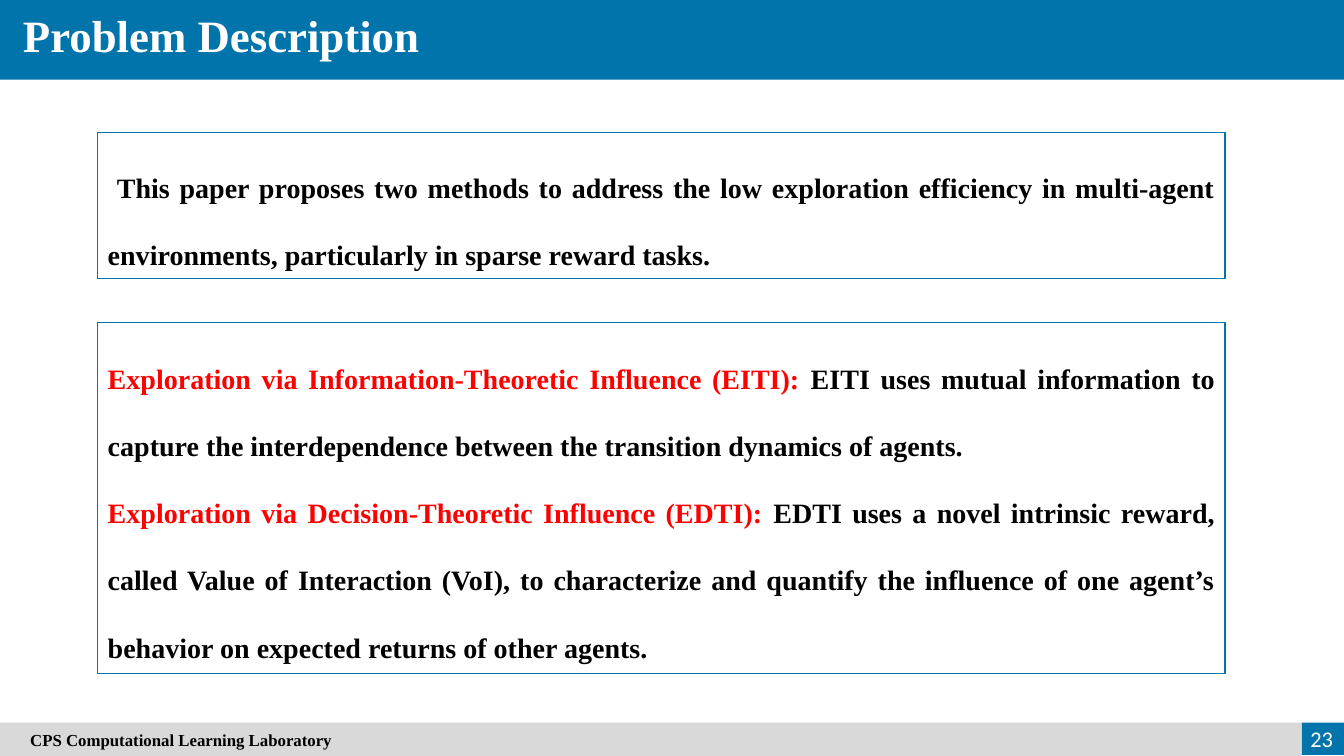
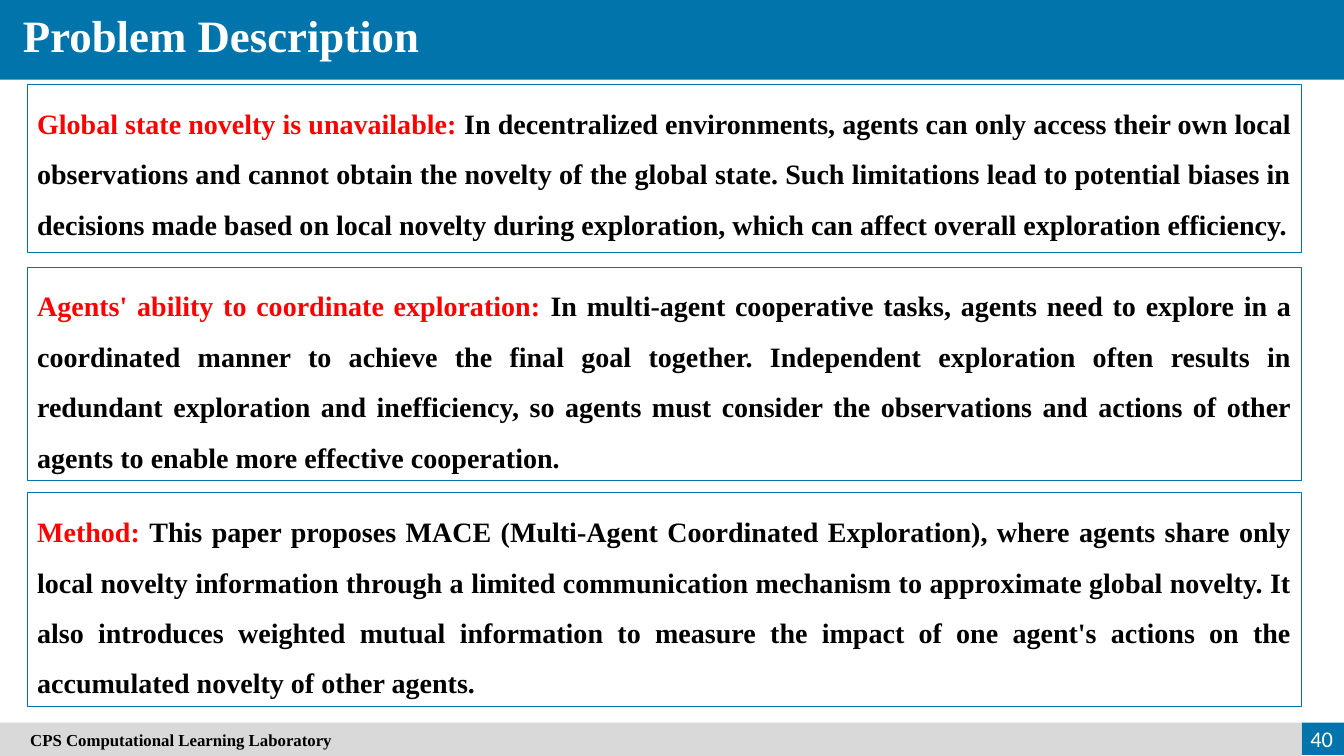
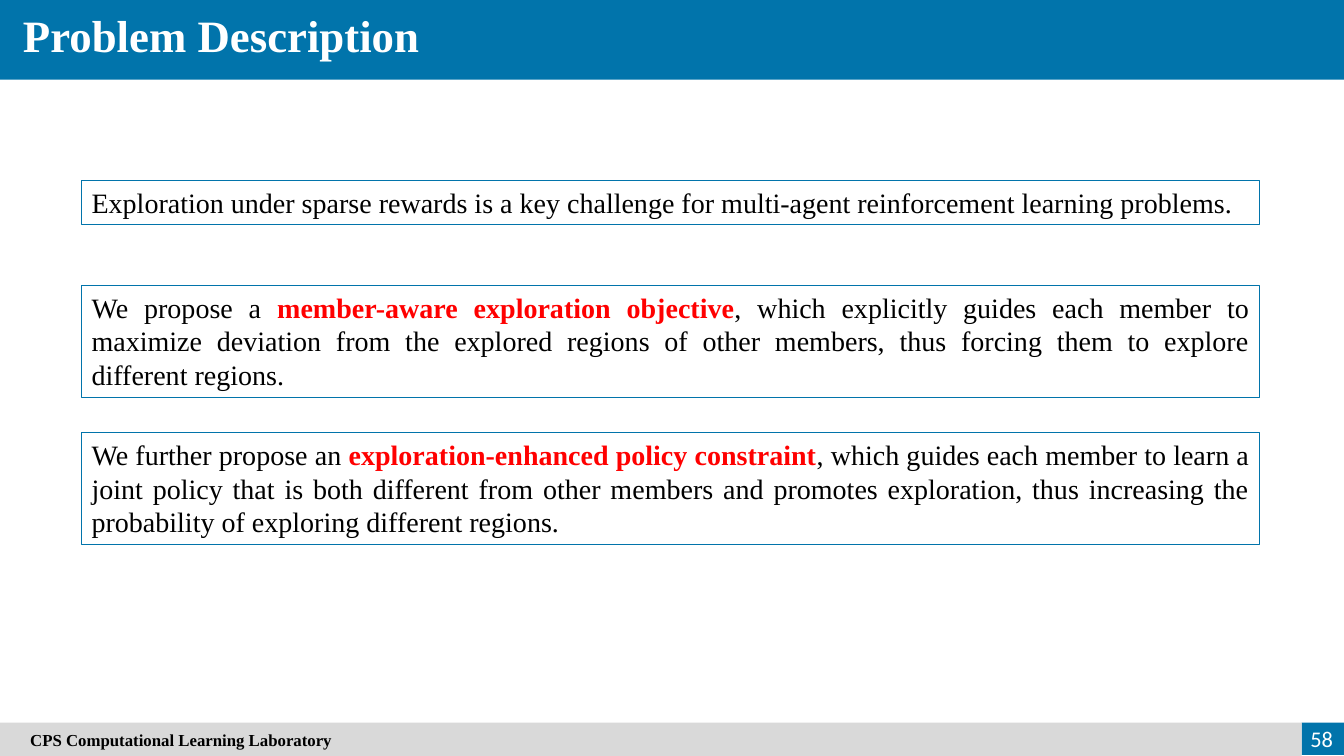
from dataclasses import dataclass
from typing import NamedTuple, Optional

from pptx import Presentation
from pptx.dml.color import RGBColor
from pptx.enum.shapes import MSO_SHAPE as Preset
from pptx.enum.text import MSO_ANCHOR as Anchor, PP_ALIGN as Align
from pptx.shapes.autoshape import Shape
from pptx.slide import Slide
from pptx.text.text import TextFrame
from pptx.util import Emu, Pt

EMU_PER_PX = 9144
BLUE = "0174AB"
GREY = "D9D9D9"
WHITE = "FFFFFF"
BLACK = "000000"
RED = "FF0000"
SERIF = "Times New Roman"
SANS = "Calibri"


class Area(NamedTuple):
    left: int
    top: int
    width: int
    height: int


class Run(NamedTuple):
    text: str
    key: bool = False


@dataclass(frozen=True)
class Box:
    top: int
    height: int
    paragraphs: list[list[Run]]
    first_indent: int = 0


@dataclass(frozen=True)
class Page:
    number: int
    left: int
    width: int
    line_spacing: float
    bold: bool
    boxes: list[Box]


SLIDE_WIDTH, SLIDE_HEIGHT = 1333, 750
TITLE_BAND = Area(0, 0, SLIDE_WIDTH, 79)
TITLE_AREA = Area(13, 3, 537, 64)
FOOTER_BAND = Area(0, 717, 1291, 33)
NUMBER_BAND = Area(1291, 717, 42, 32)
NUMBER_AREA = Area(1269, 713, 63, 40)

PAGES = [
    Page(23, 97, 1118, 2.0, True, [
        Box(131, 145, [[Run(
            "This paper proposes two methods to address the low exploration efficiency in "
            "multi-agent environments, particularly in sparse reward tasks.")]], first_indent=9),
        Box(320, 348, [
            [Run("Exploration via Information-Theoretic Influence (EITI):", key=True),
             Run(" EITI uses mutual information to capture the interdependence between the "
                 "transition dynamics of agents.")],
            [Run("Exploration via Decision-Theoretic Influence (EDTI):", key=True),
             Run(" EDTI uses a novel intrinsic reward, called Value of Interaction (VoI), to "
                 "characterize and quantify the influence of one agent’s behavior on expected "
                 "returns of other agents.")],
        ]),
    ]),
    Page(40, 27, 1264, 1.5, True, [
        Box(84, 167, [[
            Run("Global state novelty is unavailable: ", key=True),
            Run("In decentralized environments, agents can only access their own local "
                "observations and cannot obtain the novelty of the global state. Such limitations "
                "lead to potential biases in decisions made based on local novelty during "
                "exploration, which can affect overall exploration efficiency.")]]),
        Box(265, 212, [[
            Run("Agents' ability to coordinate exploration: ", key=True),
            Run("In multi-agent cooperative tasks, agents need to explore in a coordinated manner "
                "to achieve the final goal together. Independent exploration often results in "
                "redundant exploration and inefficiency, so agents must consider the observations "
                "and actions of other agents to enable more effective cooperation.")]]),
        Box(489, 212, [[
            Run("Method: ", key=True),
            Run("This paper proposes MACE (Multi-Agent Coordinated Exploration), where agents "
                "share only local novelty information through a limited communication mechanism "
                "to approximate global novelty. It also introduces weighted mutual information to "
                "measure the impact of one agent's actions on the accumulated novelty of other "
                "agents.")]]),
    ]),
    Page(58, 81, 1168, 1.0, False, [
        Box(179, 44, [[Run(
            "Exploration under sparse rewards is a key challenge for multi-agent reinforcement "
            "learning problems.")]]),
        Box(283, 111, [[
            Run("We propose a "),
            Run("member-aware exploration objective", key=True),
            Run(", which explicitly guides each member to maximize deviation from the explored "
                "regions of other members, thus forcing them to explore different regions.")]]),
        Box(429, 111, [[
            Run("We further propose an "),
            Run("exploration-enhanced policy constraint", key=True),
            Run(", which guides each member to learn a joint policy that is both different from "
                "other members and promotes exploration, thus increasing the probability of "
                "exploring different regions.")]]),
    ]),
]


def px(length: int) -> Emu:
    return Emu(length * EMU_PER_PX)


def color(value: str) -> RGBColor:
    return RGBColor.from_string(value)


def add_rectangle(slide: Slide, area: Area, *, fill: Optional[str] = None,
                  outline: Optional[str] = None) -> Shape:
    shape = slide.shapes.add_shape(Preset.RECTANGLE, *map(px, area))
    shape.shadow.inherit = False
    if fill:
        shape.fill.solid()
        shape.fill.fore_color.rgb = color(fill)
    else:
        shape.fill.background()
    if outline:
        shape.line.color.rgb = color(outline)
        shape.line.width = Pt(0.75)
    else:
        shape.line.fill.background()
    return shape


def write_text(frame: TextFrame, paragraphs: list[list[Run]], *, size: int,
               font: str = SERIF, ink: str = BLACK, bold: bool = False,
               align: Align = Align.JUSTIFY, anchor: Anchor = Anchor.TOP,
               line_spacing: float = 1.0, left_margin: int = 10,
               first_indent: int = 0) -> None:
    frame.word_wrap = True
    frame.vertical_anchor = anchor
    frame.margin_left = px(left_margin)
    for index, runs in enumerate(paragraphs):
        paragraph = frame.add_paragraph() if index else frame.paragraphs[0]
        paragraph.alignment = align
        paragraph.line_spacing = line_spacing
        if first_indent:
            paragraph._p.get_or_add_pPr().set("indent", str(px(first_indent)))
        for text, key in runs:
            run = paragraph.add_run()
            run.text = text
            run.font.name = font
            run.font.size = Pt(size)
            run.font.bold = bold or key
            run.font.color.rgb = color(RED if key else ink)


def add_frame(slide: Slide, number: int) -> None:
    add_rectangle(slide, TITLE_BAND, fill=BLUE)
    title = slide.shapes.add_textbox(*map(px, TITLE_AREA))
    write_text(title.text_frame, [[Run("Problem Description")]], size=32, ink=WHITE, bold=True)
    add_rectangle(slide, NUMBER_BAND, fill=BLUE)
    footer = add_rectangle(slide, FOOTER_BAND, fill=GREY)
    write_text(footer.text_frame, [[Run("CPS Computational Learning Laboratory")]], size=12,
               bold=True, align=Align.LEFT, anchor=Anchor.MIDDLE, left_margin=30)
    number_box = slide.shapes.add_textbox(*map(px, NUMBER_AREA))
    write_text(number_box.text_frame, [[Run(str(number))]], size=16, font=SANS, ink=WHITE,
               align=Align.RIGHT, anchor=Anchor.MIDDLE)


def add_page(presentation: Presentation, page: Page) -> None:
    slide = presentation.slides.add_slide(presentation.slide_layouts[6])
    add_frame(slide, page.number)
    for box in page.boxes:
        area = Area(page.left, box.top, page.width, box.height)
        shape = add_rectangle(slide, area, outline=BLUE)
        write_text(shape.text_frame, box.paragraphs, size=20, bold=page.bold,
                   line_spacing=page.line_spacing, first_indent=box.first_indent)


def main() -> None:
    presentation = Presentation()
    presentation.slide_width = px(SLIDE_WIDTH)
    presentation.slide_height = px(SLIDE_HEIGHT)
    for page in PAGES:
        add_page(presentation, page)
    presentation.save("out.pptx")


if __name__ == "__main__":
    main()
